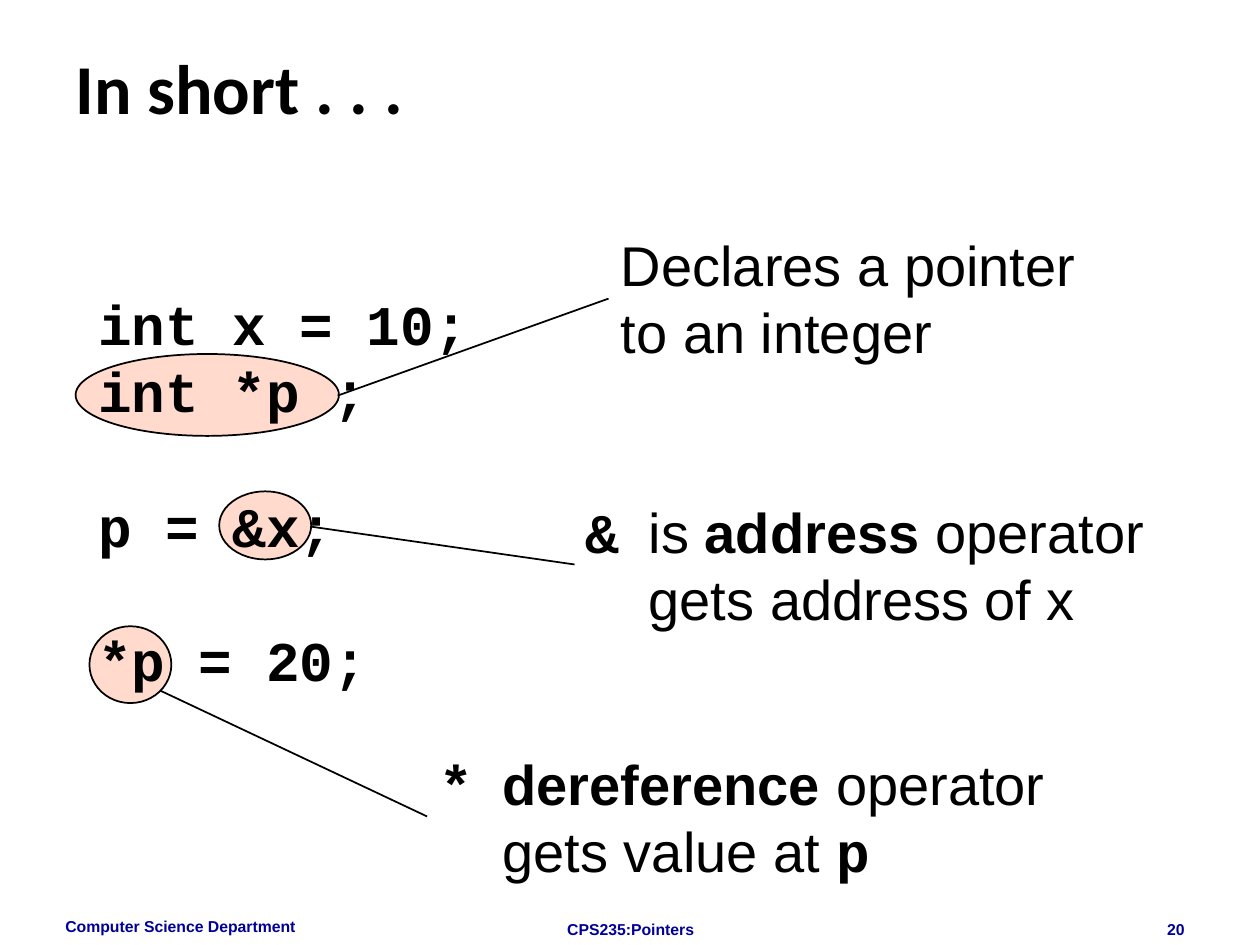
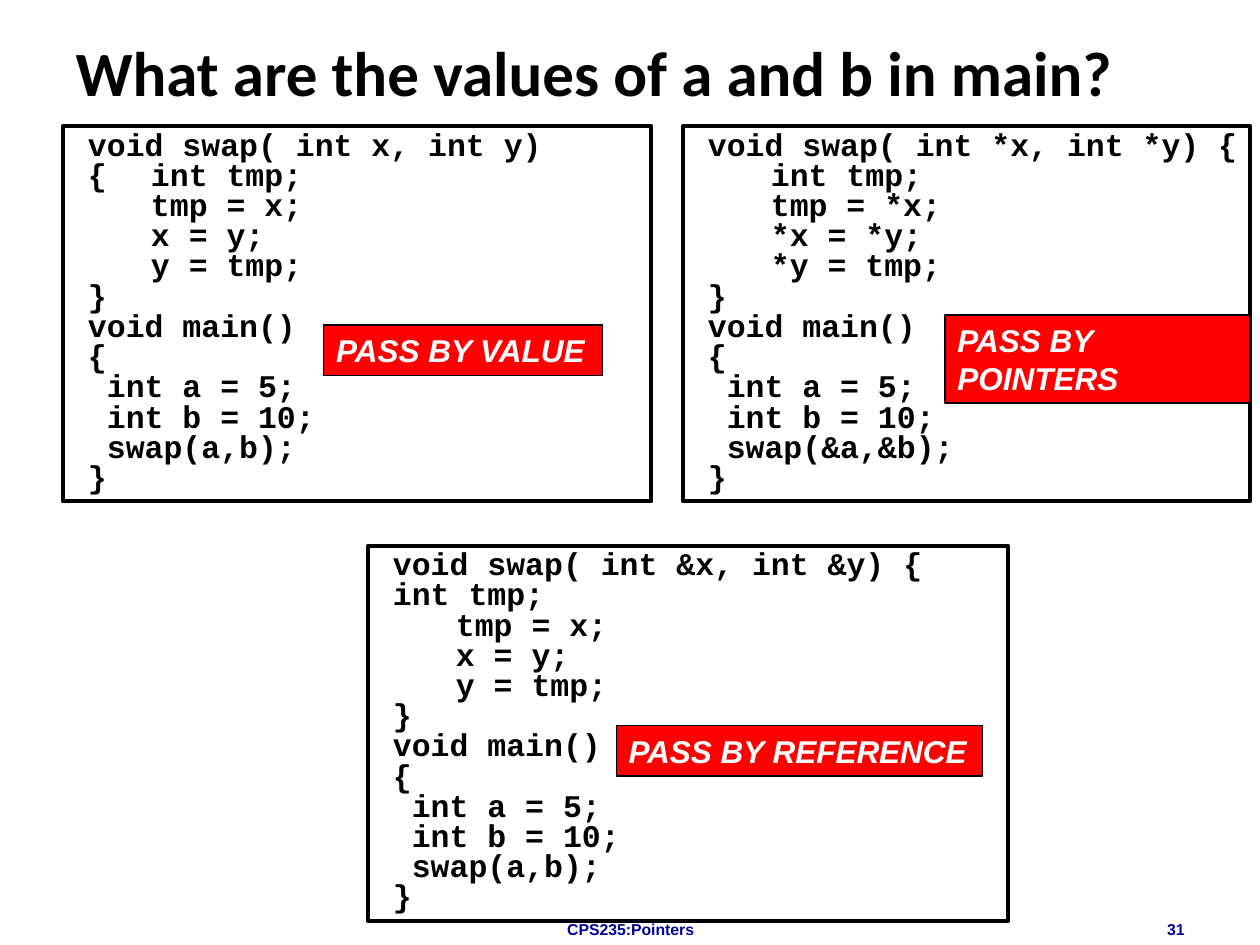
from lxml import etree
from pptx import Presentation
from pptx.dml.color import RGBColor
from pptx.enum.shapes import MSO_CONNECTOR as Connector, MSO_SHAPE as Preset
from pptx.enum.text import MSO_ANCHOR as Anchor, PP_ALIGN as Align
from pptx.oxml.ns import qn
from pptx.util import Inches, Pt

COLORS = {"ink": "000000", "footer": "000099", "highlight": "FFDACD",
          "label": "FF0000", "label_text": "FFFFFF"}
BODY, CODE, HEADING = "Arial", "Courier New", "Calibri"
LINE_PITCH = 1.2  # line height as a multiple of the text size

MAIN = ["void main()", "{", " int a = 5;", " int b = 10;"]
BY_VALUE = ["void swap( int x, int y)", "{\tint tmp;", "\ttmp = x;", "\tx = y;",
            "\ty = tmp;", "}", *MAIN, " swap(a,b);", "}"]
BY_POINTERS = ["void swap( int *x, int *y) {", "\tint tmp;", "\ttmp = *x;", "\t*x = *y;",
               "\t*y = tmp;", "}", *MAIN, " swap(&a,&b);", "}"]
BY_REFERENCE = ["void swap( int &x, int &y) {\tint tmp;", "\ttmp = x;", "\tx = y;",
                "\ty = tmp;", "}", *MAIN, " swap(a,b);", "}"]


def rgb(name):
    return RGBColor.from_string(COLORS[name])


def add_run(paragraph, text, size, font=BODY, color="ink", bold=False, italic=False):
    run = paragraph.add_run()
    run.text = text
    run.font.size = Pt(size)
    run.font.name = font
    run.font.bold = bold
    run.font.italic = italic
    run.font.color.rgb = rgb(color)


def next_paragraph(frame, index):
    return frame.paragraphs[0] if index == 0 else frame.add_paragraph()


def set_indent(paragraph, left, first=0.0):
    properties = paragraph._p.get_or_add_pPr()
    properties.set("marL", str(Inches(left)))
    properties.set("indent", str(Inches(first)))


def add_text_box(slide, box):
    frame = slide.shapes.add_textbox(*map(Inches, box)).text_frame
    frame.word_wrap = True
    return frame


def add_shape(slide, preset, box, fill, line_width):
    shape = slide.shapes.add_shape(preset, *map(Inches, box))
    shape.shadow.inherit = False
    if fill:
        shape.fill.solid()
        shape.fill.fore_color.rgb = rgb(fill)
    else:
        shape.fill.background()
    shape.line.color.rgb = rgb("ink")
    shape.line.width = Pt(line_width)
    return shape


def add_line(slide, start, end):
    line = slide.shapes.add_connector(Connector.STRAIGHT, *map(Inches, start + end))
    line.line.color.rgb = rgb("ink")
    line.line.width = Pt(1)
    etree.SubElement(line._element.spPr, qn("a:effectLst"))


def add_title(slide, text, size, height, anchor):
    title = slide.shapes.title
    title.left, title.top, title.width, title.height = map(Inches, (0.5, 0.3, 9, height))
    title.text_frame.vertical_anchor = anchor
    paragraph = title.text_frame.paragraphs[0]
    paragraph.alignment = Align.LEFT
    add_run(paragraph, text, size, HEADING, bold=True)


def add_footer(slide, number, department=None):
    parts = [((3.42, 7.25, 3.17, 0.1), "CPS235:Pointers", Align.CENTER),
             ((7.17, 7.25, 2.33, 0.1), number, Align.RIGHT)]
    if department:
        parts.append(((0.42, 7.23, 2.33, 0.27), department, Align.LEFT))
    for box, text, alignment in parts:
        paragraph = add_text_box(slide, box).paragraphs[0]
        paragraph.alignment = alignment
        add_run(paragraph, text, 9, color="footer", bold=True)


def add_statements(slide, box):
    """Four statements; the last two are set off by one empty line's height."""
    frame = add_text_box(slide, box)
    for index, text in enumerate(["int x = 10;", "int *p ;", "p = &x;", "*p = 20;"]):
        paragraph = next_paragraph(frame, index)
        paragraph.line_spacing = Pt(32 * LINE_PITCH)
        if index > 1:
            paragraph.space_before = Pt(32 * LINE_PITCH)
        add_run(paragraph, text, 32, CODE, bold=True)


def add_explanation(slide, box, lines, hanging=0.0):
    """Lines of (text, font, bold) runs; a hanging symbol leads the first."""
    frame = add_text_box(slide, box)
    for index, runs in enumerate(lines):
        paragraph = next_paragraph(frame, index)
        set_indent(paragraph, hanging, -hanging if index == 0 else 0)
        paragraph.line_spacing = Pt(32 * LINE_PITCH)
        for text, font, bold in runs:
            add_run(paragraph, text, 32, font, bold=bold)


def add_code_box(slide, box, lines):
    shape = add_shape(slide, Preset.RECTANGLE, box, None, 2.25)
    frame = shape.text_frame
    frame.word_wrap = True
    frame.vertical_anchor = Anchor.TOP
    frame.margin_right = Inches(0.05)
    for index, text in enumerate(lines):
        paragraph = next_paragraph(frame, index)
        set_indent(paragraph, 0.1)
        paragraph.alignment = Align.LEFT
        paragraph.line_spacing = Pt(18 * LINE_PITCH * 0.8)
        add_run(paragraph, text, 18, CODE, bold=True)


def add_label(slide, box, text, wrap=False):
    frame = add_shape(slide, Preset.RECTANGLE, box, "label", 0.75).text_frame
    frame.word_wrap = wrap
    frame.vertical_anchor = Anchor.TOP
    paragraph = frame.paragraphs[0]
    paragraph.alignment = Align.LEFT
    paragraph.line_spacing = Pt(18 * LINE_PITCH)
    add_run(paragraph, text, 18, color="label_text", bold=True, italic=True)


def build_summary(slide):
    add_footer(slide, "20", "Computer Science Department")
    add_title(slide, "In short . . .", 40, 1.25, Anchor.TOP)

    # Highlights behind the code
    for box in [(0.6, 2.81, 2.09, 0.65), (1.74, 3.9, 0.73, 0.54), (0.71, 4.97, 0.65, 0.61)]:
        add_shape(slide, Preset.OVAL, box, "highlight", 1)
    add_statements(slide, (0.68, 2.25, 3.14, 4.9))

    # Explanations
    add_explanation(slide, (4.83, 1.78, 3.94, 1.17), [
        [("Declares a pointer", BODY, False)],
        [("to an integer", BODY, False)]])
    add_explanation(slide, (4.55, 3.9, 4.85, 1.17), [
        [("&\t", CODE, True), ("is ", BODY, False), ("address", BODY, True),
         (" operator", BODY, False)],
        [("gets address of x", BODY, False)]], hanging=0.5)
    add_explanation(slide, (3.39, 5.9, 5.02, 1.17), [
        [("*\t", CODE, True), ("dereference", BODY, True), (" operator", BODY, False)],
        [("gets value at ", BODY, False), ("p", CODE, True)]], hanging=0.5)

    # Leader lines from highlight to explanation
    for start, end in [((2.68, 3.14), (4.83, 2.37)), ((2.47, 4.18), (4.56, 4.48)),
                       ((1.27, 5.48), (3.39, 6.48))]:
        add_line(slide, start, end)


def build_swap_comparison(slide):
    add_title(slide, "What are the values of a and b in main?", 36, 0.53, Anchor.MIDDLE)
    add_footer(slide, "31")

    # Three versions of the program
    add_code_box(slide, (0.5, 1, 4.67, 2.98), BY_VALUE)
    add_code_box(slide, (5.42, 1, 4.5, 2.98), BY_POINTERS)
    add_code_box(slide, (2.92, 4.33, 5.08, 2.98), BY_REFERENCE)

    # Name of each way of passing
    add_label(slide, (2.57, 2.58, 2.21, 0.4), "PASS BY VALUE")
    add_label(slide, (7.5, 2.5, 2.42, 0.7), "PASS BY POINTERS", wrap=True)
    add_label(slide, (4.89, 5.76, 2.91, 0.4), "PASS BY REFERENCE")


def main():
    presentation = Presentation()
    presentation.slide_width, presentation.slide_height = Inches(10), Inches(7.5)
    title_only = presentation.slide_layouts[5]
    for build in (build_summary, build_swap_comparison):
        build(presentation.slides.add_slide(title_only))
    presentation.save("out.pptx")


if __name__ == "__main__":
    main()
